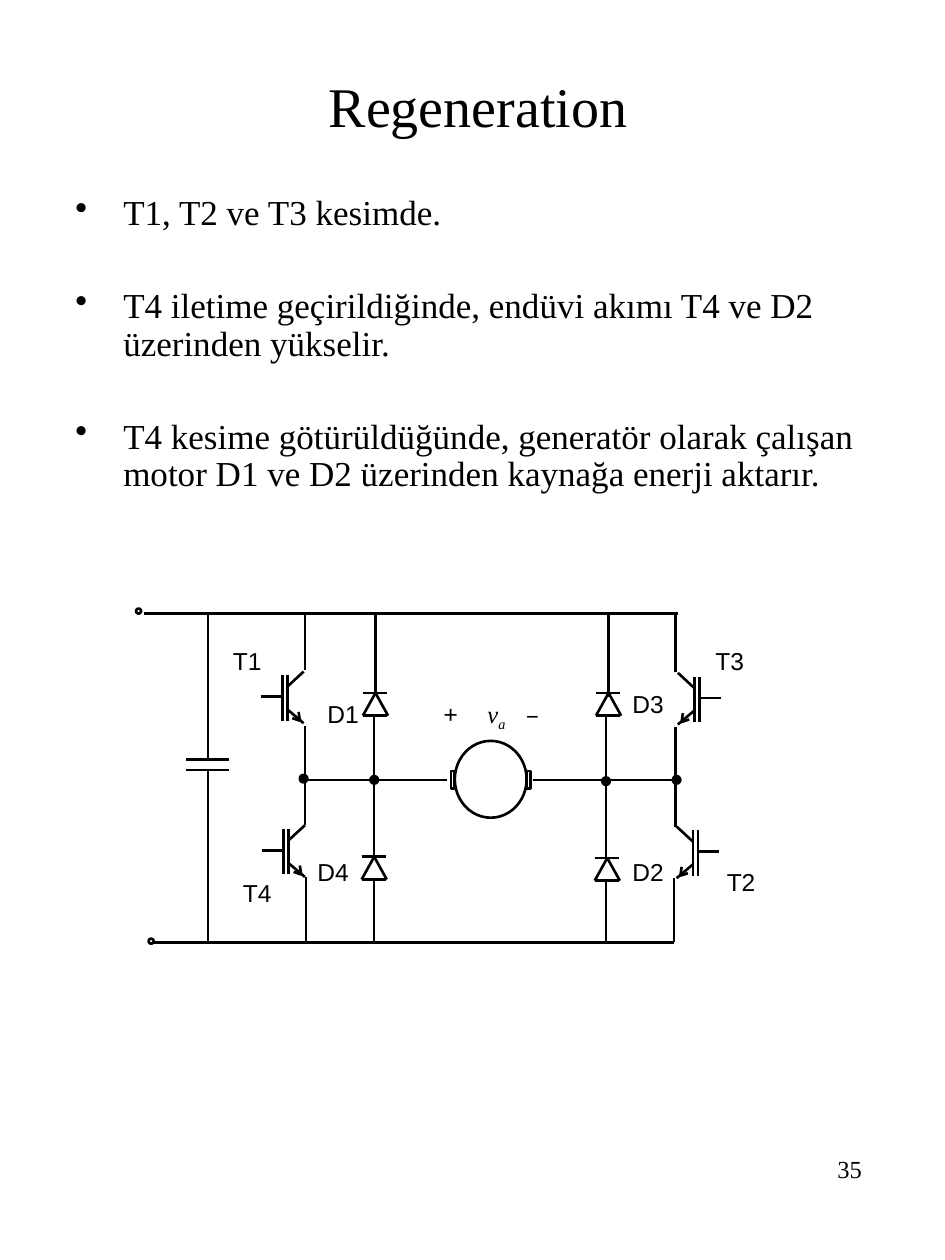
import pptx
import pptx.dml.color
import pptx.enum.shapes
import pptx.enum.text
import pptx.oxml.ns
import pptx.util
from lxml import etree
from pptx.util import Inches

COLORS = {"ink": "000000", "paper": "FFFFFF"}
ALIGN = pptx.enum.text.PP_ALIGN
SHAPES = pptx.enum.shapes.MSO_SHAPE
SERIF = {"name": "Times New Roman", "size": pptx.util.Pt(14)}
SANS = {"name": "Arial", "size": pptx.util.Pt(14)}
MONO = {"name": "Courier New", "size": pptx.util.Pt(14)}


def color(name):
    return pptx.dml.color.RGBColor.from_string(COLORS[name])


def qualified(name):
    return pptx.oxml.ns.qn(name)


def apply(target, values):
    for name, value in values.items():
        setattr(target, name, value)


def add_run(paragraph, text, font):
    run = paragraph.add_run()
    run.text = text
    apply(run.font, font)
    run.font.color.rgb = color("ink")
    return run


def add_text_box(shapes, box, **frame_format):
    frame = shapes.add_textbox(*[Inches(value) for value in box]).text_frame
    apply(frame, {"word_wrap": True, **frame_format})
    return frame


def add_line(shapes, origin, start, end):
    x, y = origin
    connector = shapes.add_connector(
        pptx.enum.shapes.MSO_CONNECTOR.STRAIGHT,
        Inches(x + start[0]), Inches(y + start[1]),
        Inches(x + end[0]), Inches(y + end[1]))
    connector.line.width = pptx.util.Pt(1.5)
    connector.line.color.rgb = color("ink")
    etree.SubElement(connector._element.spPr, qualified("a:effectLst"))


def add_outline(shapes, kind, origin, box, fill="paper"):
    left, top, width, height = box
    shape = shapes.add_shape(kind, Inches(origin[0] + left), Inches(origin[1] + top),
                             Inches(width), Inches(height))
    shape.shadow.inherit = False
    shape.fill.solid()
    shape.fill.fore_color.rgb = color(fill)
    shape.line.color.rgb = color("ink")
    shape.line.width = pptx.util.Pt(1.5)


def add_heading(slide, box, text, size, align, anchor):
    frame = add_text_box(slide.shapes, box, vertical_anchor=anchor)
    frame.paragraphs[0].alignment = align
    add_run(frame.paragraphs[0], text, {**SERIF, "size": pptx.util.Pt(size)})


def add_bullets(slide, box, items):
    frame = add_text_box(slide.shapes, box)
    for index, item in enumerate(items):
        paragraph = frame.add_paragraph() if index else frame.paragraphs[0]
        apply(paragraph, {"line_spacing": 0.9,
                          "space_before": pptx.util.Pt(31.5 if index else 5)})
        properties = paragraph._p.get_or_add_pPr()
        properties.set("marL", str(Inches(0.38)))
        properties.set("indent", str(Inches(-0.38)))
        etree.SubElement(properties, qualified("a:buChar")).set("char", "•")
        add_run(paragraph, item, {**SERIF, "size": pptx.util.Pt(20)})


def add_transistor(shapes, origin, side):
    segments = [((0.21, 0.39), (0.21, 0.03)), ((0.17, 0.39), (0.17, 0.03)),
                ((0.34, 0.41), (0.21, 0.3)), ((0.34, 0), (0.21, 0.12)),
                ((0.16, 0.2), (0, 0.2)),
                ((0.3, 0.32), (0.31, 0.39)), ((0.25, 0.37), (0.31, 0.39))]
    for start, end in segments:
        add_line(shapes, origin, (side * start[0], start[1]), (side * end[0], end[1]))


def add_diode(shapes, origin):
    for start, end in [((0, 0), (0.19, 0)), ((0, 0.18), (0.19, 0.18)),
                       ((0, 0.18), (0.1, 0)), ((0.2, 0.18), (0.1, 0))]:
        add_line(shapes, origin, start, end)


def add_motor(shapes, origin):
    add_outline(shapes, SHAPES.OVAL, origin, (0.03, 0, 0.57, 0.61))
    for left in (0, 0.6):
        add_outline(shapes, SHAPES.RECTANGLE, origin, (left, 0.24, 0.03, 0.14))


def add_voltage(shapes, box):
    paragraph = add_text_box(shapes, box).paragraphs[0]
    tabs = etree.SubElement(paragraph._p.get_or_add_pPr(), qualified("a:tabLst"))
    for position in (0.35, 0.65):
        tab = etree.SubElement(tabs, qualified("a:tab"))
        tab.set("pos", str(Inches(position)))
        tab.set("algn", "l")
    add_run(paragraph, "+\t", MONO)
    add_run(paragraph, "v", {**SERIF, "italic": True})
    subscript = add_run(paragraph, "a", {**SERIF, "italic": True})
    subscript._r.get_or_add_rPr().set("baseline", "-25000")
    add_run(paragraph, "\t–", MONO)


def add_circuit(slide, left, top):
    shapes = slide.shapes.add_group_shape().shapes
    origin = (left, top)
    high, middle, low = 0.87, 2.19, 3.48

    for y, start, end in [(high, 0.14, 4.38), (low, 0.2, 4.35),
                          (middle, 1.43, 2.55), (middle, 3.23, 4.35),
                          (2.03, 0.48, 0.82), (2.11, 0.48, 0.82)]:
        add_line(shapes, origin, (start, y), (end, y))
    for x, start, end in [(0.65, high, 2.02), (0.65, 2.12, low),
                          (1.42, high, 1.32), (1.42, 1.76, 2.55), (1.43, 2.96, low),
                          (1.98, high, 1.49), (1.97, 1.68, 2.79), (1.97, 2.98, low),
                          (3.83, high, 1.53), (3.81, 1.68, 2.8), (3.81, 2.99, low),
                          (4.36, high, 1.33), (4.36, 1.77, 2.56), (4.35, 2.97, low)]:
        add_line(shapes, origin, (x, start), (x, end))

    for x, y, side in [(1.07, 1.33, 1), (1.08, 2.55, 1),
                       (4.72, 1.34, -1), (4.71, 2.56, -1)]:
        add_transistor(shapes, (left + x, top + y), side)
    for x, y in [(1.88, 1.5), (1.87, 2.8), (3.73, 1.5), (3.72, 2.81)]:
        add_diode(shapes, (left + x, top + y))
    for x, y in [(0.08, 0.83), (0.18, 3.45)]:
        add_outline(shapes, SHAPES.OVAL, origin, (x, y, 0.04, 0.04))
    for x, y in [(1.38, 2.15), (1.94, 2.16), (3.78, 2.17), (4.34, 2.16)]:
        add_outline(shapes, SHAPES.OVAL, origin, (x, y, 0.06, 0.06), "ink")
    add_motor(shapes, (left + 2.58, top + 1.88))
    add_voltage(shapes, (left + 2.42, top + 1.5, 1, 0.42))

    for text, x, y in [("T1", 0.75, 1.08), ("T3", 4.58, 1.08), ("T2", 4.67, 2.83),
                       ("T4", 0.83, 2.92), ("D1", 1.5, 1.5), ("D4", 1.42, 2.75),
                       ("D3", 3.92, 1.42), ("D2", 3.92, 2.75)]:
        width = 0.43 if text.startswith("T") else 0.45
        frame = add_text_box(shapes, (left + x, top + y, width, 0.34), word_wrap=False)
        add_run(frame.paragraphs[0], text, SANS)


def main():
    presentation = pptx.Presentation()
    apply(presentation, {"slide_width": Inches(7.5), "slide_height": Inches(10)})
    slide = presentation.slides.add_slide(presentation.slide_layouts[6])
    anchors = pptx.enum.text.MSO_ANCHOR
    add_heading(slide, (5.38, 9.11, 1.56, 0.67), "35", 14, ALIGN.RIGHT, anchors.TOP)
    add_heading(slide, (0.42, 0, 6.75, 1.67), "Regeneration", 32, ALIGN.CENTER, anchors.MIDDLE)
    add_bullets(slide, (0.5, 1.5, 6.75, 2.92), [
        "T1, T2 ve T3 kesimde.",
        "T4 iletime geçirildiğinde, endüvi akımı T4 ve D2 üzerinden yükselir.",
        "T4 kesime götürüldüğünde, generatör olarak çalışan motor D1 ve D2 "
        "üzerinden kaynağa enerji aktarır."])
    add_circuit(slide, 1, 4)
    presentation.save("out.pptx")


if __name__ == "__main__":
    main()
